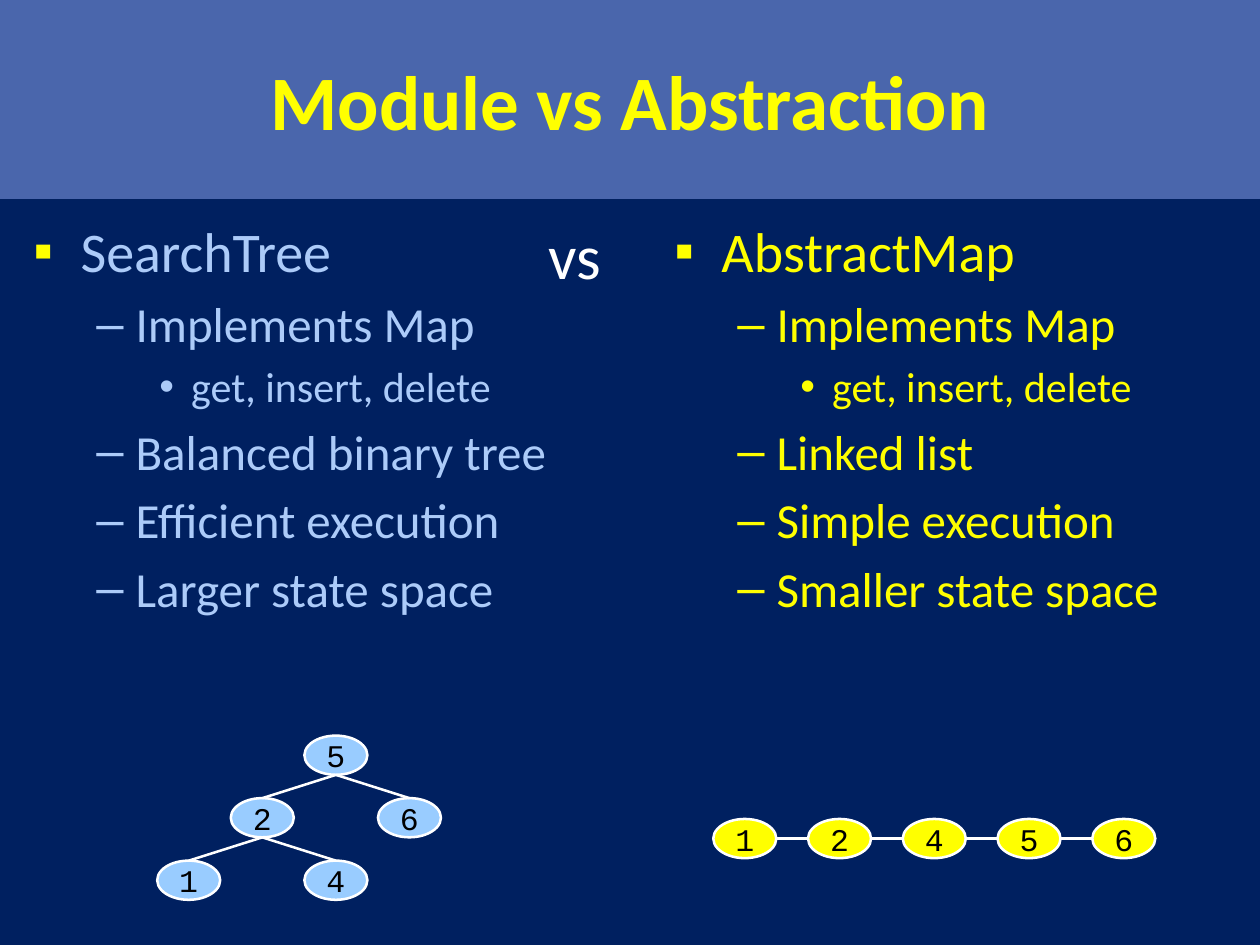
from dataclasses import dataclass

from lxml import etree
from pptx import Presentation
from pptx import util as u
from pptx.dml.color import RGBColor
from pptx.enum import shapes, text
from pptx.oxml.ns import qn


@dataclass(frozen=True)
class Theme:
    background: str = "002060"
    band: str = "4A66AC"
    yellow: str = "FFFF00"
    pale_blue: str = "ACCBF9"
    node_blue: str = "99CCFF"
    white: str = "FFFFFF"
    black: str = "000000"
    font: str = "Calibri"
    node_font: str = "Courier New"
    title_size: int = 44
    list_sizes: tuple = (32, 28, 24)
    versus_size: int = 36
    node_size: int = 18
    line_width: float = 1.45


THEME = Theme()
# Per list level: bullet, left margin and hanging indent in cm
LEVELS = (("▪", 0.95, 0.95), ("–", 2.06, 0.79), ("•", 3.18, 0.64))
NODE_W, NODE_H = 1.27, 0.79


def rgb(value):
    return RGBColor.from_string(value)


def place(s, box):
    s.left, s.top, s.width, s.height = (u.Cm(v) for v in box)


def add_run(p, words, size, color, font=THEME.font, bold=False):
    r = p.add_run()
    r.text = words
    r.font.name, r.font.size, r.font.bold = font, u.Pt(size), bold
    r.font.color.rgb = rgb(color)


def set_bullet(p, level, color):
    char, margin, hanging = LEVELS[level]
    pPr = p._p.get_or_add_pPr()
    pPr.set("marL", str(u.Cm(margin)))
    pPr.set("indent", str(-u.Cm(hanging)))
    bullet_color = etree.SubElement(pPr, qn("a:buClr"))
    etree.SubElement(bullet_color, qn("a:srgbClr"), val=color)
    etree.SubElement(pPr, qn("a:buFont"), typeface="Arial")
    etree.SubElement(pPr, qn("a:buChar"), char=char)


def fill_title(s, box, words):
    place(s, box)
    s.fill.solid()
    s.fill.fore_color.rgb = rgb(THEME.band)
    tf = s.text_frame
    tf.vertical_anchor = text.MSO_ANCHOR.MIDDLE
    p = tf.paragraphs[0]
    p.alignment = text.PP_ALIGN.CENTER
    add_run(p, words, THEME.title_size, THEME.yellow, bold=True)


def fill_list(s, box, items, color):
    place(s, box)
    tf = s.text_frame
    tf.auto_size = text.MSO_AUTO_SIZE.NONE
    for i, (level, words) in enumerate(items):
        p = tf.add_paragraph() if i else tf.paragraphs[0]
        size = THEME.list_sizes[level]
        p.level = level
        p.space_before = u.Pt(0.2 * size if i else 0)
        set_bullet(p, level, color if level else THEME.yellow)
        add_run(p, words, size, color)


def add_versus(slide, box):
    s = slide.shapes.add_textbox(*(u.Cm(v) for v in box))
    tf = s.text_frame
    tf.word_wrap = True
    add_run(tf.paragraphs[0], "vs", THEME.versus_size, THEME.white)


def add_node(group, x, y, label, color):
    s = group.shapes.add_shape(shapes.MSO_SHAPE.OVAL,
                               *(u.Cm(v) for v in (x, y, NODE_W, NODE_H)))
    s.shadow.inherit = False
    s.fill.solid()
    s.fill.fore_color.rgb = rgb(color)
    s.line.color.rgb = rgb(THEME.white)
    s.line.width = u.Pt(THEME.line_width)
    tf = s.text_frame
    tf.word_wrap = False
    tf.vertical_anchor = text.MSO_ANCHOR.MIDDLE
    tf.margin_top = tf.margin_bottom = u.Cm(0.15)
    p = tf.paragraphs[0]
    p.alignment = text.PP_ALIGN.CENTER
    add_run(p, label, THEME.node_size, THEME.black, THEME.node_font)


def add_edge(group, start, end):
    s = group.shapes.add_connector(shapes.MSO_CONNECTOR.STRAIGHT,
                                   *(u.Cm(v) for v in (*start, *end)))
    s.line.color.rgb = rgb(THEME.white)
    s.line.width = u.Pt(THEME.line_width)
    etree.SubElement(s._element.spPr, qn("a:effectLst"))


def add_tree(slide, box):
    left, top, width, height = box
    # Label: (column, row, parent)
    nodes = {"5": (2, 0, None), "2": (1, 1, "5"), "6": (3, 1, "5"),
             "1": (0, 2, "2"), "4": (2, 2, "2")}
    column, row = (width - NODE_W) / 3, (height - NODE_H) / 2
    corners = {label: (left + c * column, top + r * row)
               for label, (c, r, _) in nodes.items()}
    group = slide.shapes.add_group_shape()
    for label, (x, y) in corners.items():
        add_node(group, x, y, label, THEME.node_blue)
        parent = nodes[label][2]
        if parent:
            px, py = corners[parent]
            add_edge(group, (px + NODE_W / 2, py + NODE_H),
                     (x + NODE_W / 2, y))


def add_linked_list(slide, box, labels):
    left, top, width, height = box
    step = (width - NODE_W) / (len(labels) - 1)
    middle = top + height / 2
    group = slide.shapes.add_group_shape()
    for i, label in enumerate(labels):
        x = left + i * step
        add_node(group, x, top, label, THEME.yellow)
        if i:
            add_edge(group, (x - step + NODE_W, middle), (x, middle))


def comparison_items(name, structure, execution, space):
    return [(0, name), (1, "Implements Map"), (2, "get, insert, delete"),
            (1, structure), (1, execution), (1, space)]


def add_comparison_slide(prs):
    slide = prs.slides.add_slide(prs.slide_layouts[3])
    slide.background.fill.solid()
    slide.background.fill.fore_color.rgb = rgb(THEME.background)
    title, left, right = slide.placeholders
    fill_title(title, (0, 0, 25.4, 4.01), "Module vs Abstraction")
    fill_list(left, (0.42, 4.24, 11.64, 14.61),
              comparison_items("SearchTree", "Balanced binary tree",
                               "Efficient execution", "Larger state space"),
              THEME.pale_blue)
    fill_list(right, (13.34, 4.24, 11.64, 14.61),
              comparison_items("AbstractMap", "Linked list",
                               "Simple execution", "Smaller state space"),
              THEME.yellow)
    add_versus(slide, (10.8, 4.24, 2.54, 1.8))
    add_tree(slide, (3.17, 14.83, 5.72, 3.31))
    add_linked_list(slide, (14.38, 16.51, 8.91, NODE_H), "12456")


def main():
    prs = Presentation()
    prs.slide_width, prs.slide_height = u.Cm(25.4), u.Cm(19.05)
    add_comparison_slide(prs)
    prs.save("out.pptx")


if __name__ == "__main__":
    main()
